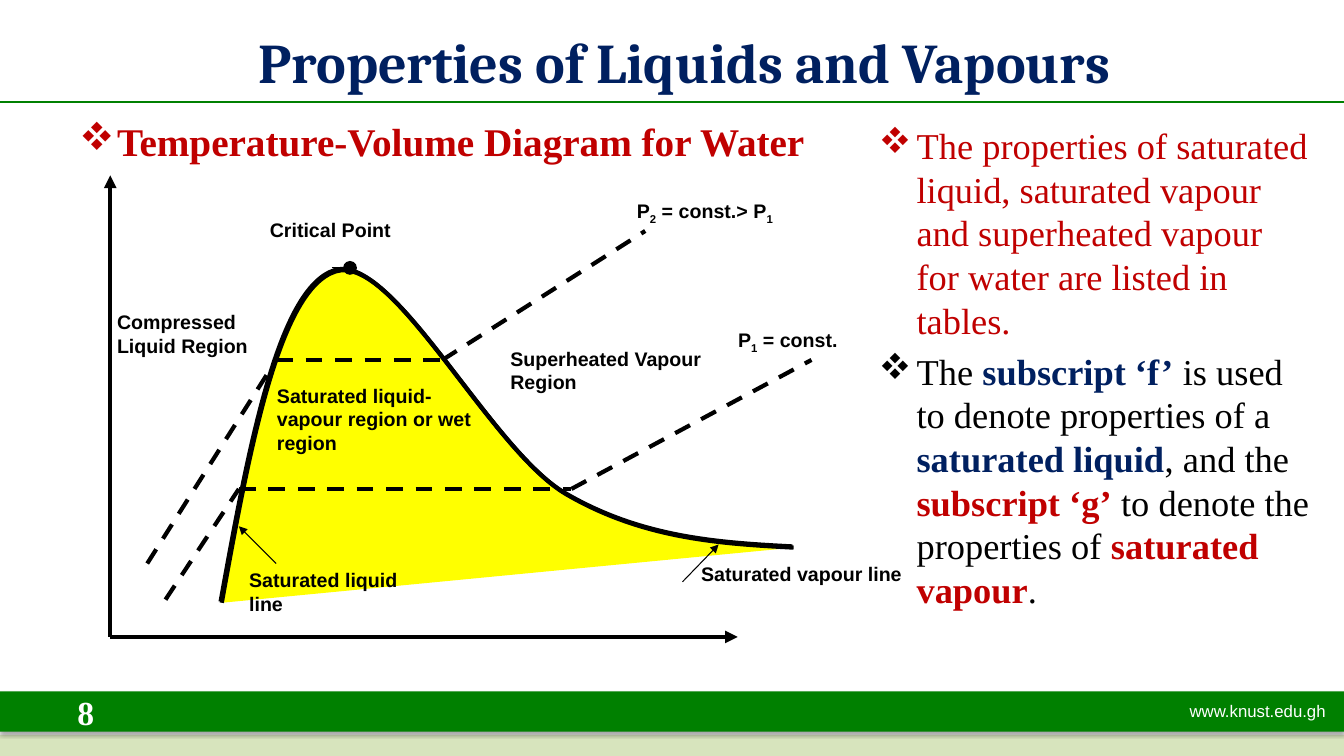
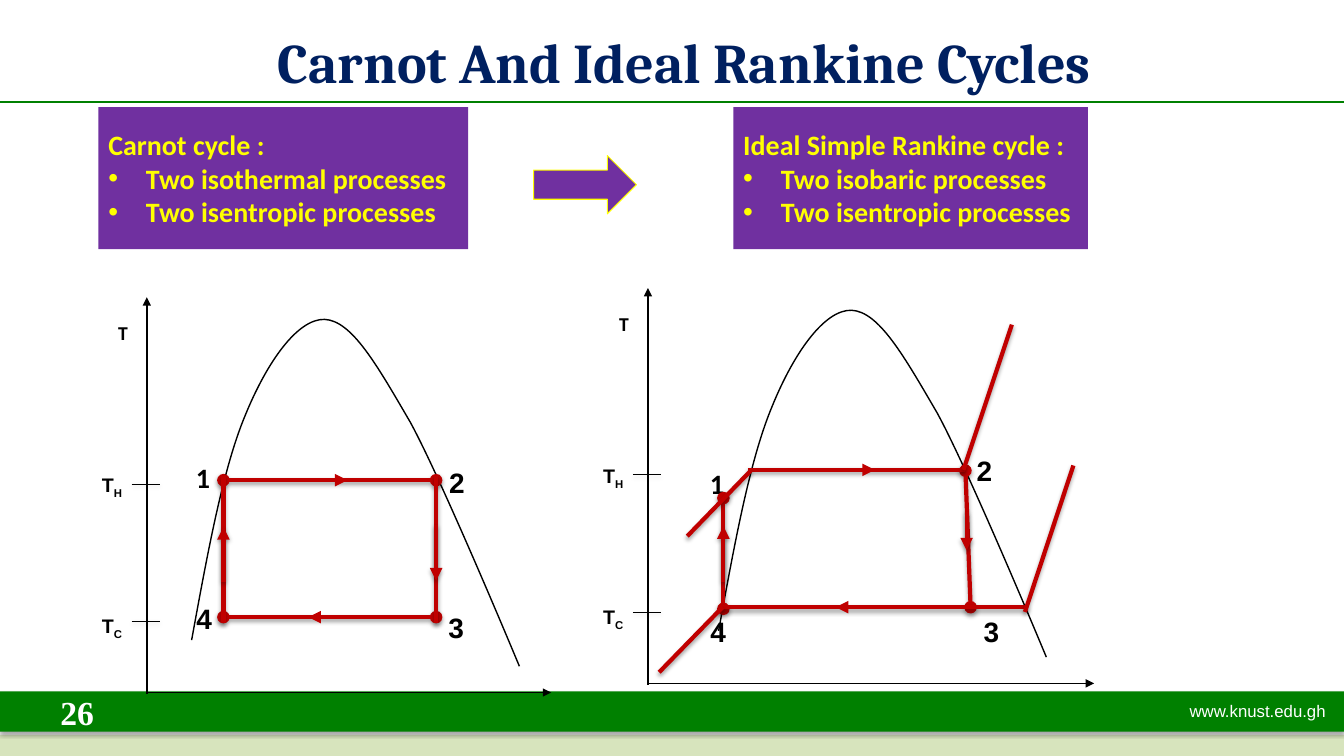
"""Builds two thermodynamics slides: the T-v diagram of water and the Carnot and Rankine cycles."""
from itertools import pairwise

from lxml.etree import SubElement
from pptx import Presentation
from pptx.dml.color import RGBColor
from pptx.enum.dml import MSO_LINE
from pptx.enum.shapes import MSO_CONNECTOR, MSO_SHAPE
from pptx.enum.text import MSO_ANCHOR, PP_ALIGN
from pptx.oxml.ns import qn
from pptx.util import Cm, Pt

DASH = MSO_LINE.DASH
STRAIGHT = MSO_CONNECTOR.STRAIGHT
RECT, ARROW = MSO_SHAPE.RECTANGLE, MSO_SHAPE.RIGHT_ARROW
TOP, MIDDLE = MSO_ANCHOR.TOP, MSO_ANCHOR.MIDDLE
LEFT, CENTER, RIGHT = PP_ALIGN.LEFT, PP_ALIGN.CENTER, PP_ALIGN.RIGHT

COLORS = {
    "black": "000000", "white": "FFFFFF", "navy": "002060", "red": "C00000",
    "green": "008000", "rule": "008001", "pale": "D7E4BD", "yellow": "FFFF00",
    "purple": "7030A0",
}
SERIF, SANS, HEAD, BODY = "Times New Roman", "Arial", "Cambria", "Calibri"
DIAMOND, DOT = ("Wingdings", "v"), ("Arial", "•")
WIDTH, HEIGHT = 33.87, 19.05
INDENT = 0.95

WATER = [(5.56, 15.16), (6.27, 11.23), (7.01, 7.26), (8.43, 6.81),
         (9.88, 6.35), (12.29, 11.23), (14.2, 12.4),
         (16.13, 13.54), (18.06, 13.67), (19.97, 13.77)]
DOME = [(0, 0), (0.41, -2.24), (0.79, -4.32), (1.35, -5.66),
        (1.9, -7.01), (2.67, -8.1), (3.35, -8.08),
        (4.04, -8.05), (4.67, -6.93), (5.51, -5.49),
        (6.32, -4.01), (8.26, 0.66), (8.26, 0.66)]


def rgb(name):
    return RGBColor.from_string(COLORS[name])


def effect(props, shadow):
    """Give shape properties a soft drop shadow, or an empty effect list."""
    effects = props.find(qn("a:effectLst"))
    if effects is None:
        effects = SubElement(props, qn("a:effectLst"))
    if shadow:
        outer = SubElement(effects, qn("a:outerShdw"), blurRad="40000",
                           dist="22000", dir="5400000", rotWithShape="0")
        tint = SubElement(outer, qn("a:srgbClr"), val=COLORS["black"])
        SubElement(tint, qn("a:alpha"), val="36000")


def para(item, parts, font, size, color, bold=True, bullet=None, align=LEFT):
    """Fill a paragraph; underscores in plain text enclose subscripts."""
    if bullet:
        face, char = bullet
        props = item._p.get_or_add_pPr()
        props.set("marL", str(Cm(INDENT)))
        props.set("indent", str(-Cm(INDENT)))
        SubElement(props, qn("a:buFont"), typeface=face)
        SubElement(props, qn("a:buChar"), char=char)
    item.alignment = align
    item.font.name, item.font.size = font, Pt(size)
    item.font.bold, item.font.color.rgb = bold, rgb(color)
    if isinstance(parts, str):
        for index, text in enumerate(parts.split("_")):
            if text:
                run = item.add_run()
                run.text = text
                if index % 2:
                    run._r.get_or_add_rPr().set("baseline", "-25000")
        return
    for text, accent in parts:
        run = item.add_run()
        run.text = text
        if accent:
            run.font.bold, run.font.color.rgb = True, rgb(accent)


def box(slide, x, y, w, h, anchor=TOP):
    """Add a wrapping text box and return its frame."""
    frame = slide.shapes.add_textbox(Cm(x), Cm(y), Cm(w), Cm(h)).text_frame
    frame.word_wrap = True
    frame.vertical_anchor = anchor
    return frame


def note(slide, text, x, y, w, h=0.8, font=SANS, size=14, color="black",
         anchor=TOP, **style):
    """Add a box with one paragraph."""
    frame = box(slide, x, y, w, h, anchor)
    para(frame.paragraphs[0], text, font, size, color, **style)


def block(slide, kind, x, y, w, h, fill, edge=None, shadow=False):
    """Add a filled preset shape."""
    shape = slide.shapes.add_shape(kind, Cm(x), Cm(y), Cm(w), Cm(h))
    shape.shadow.inherit = False
    shape.fill.solid()
    shape.fill.fore_color.rgb = rgb(fill)
    if edge:
        shape.line.color.rgb = rgb(edge)
        shape.line.width = Pt(0.75)
    else:
        shape.line.fill.background()
    effect(shape._element.spPr, shadow)
    return shape


def line(slide, start, end, width, color="black", dash=None, head=None,
         tail=None, big=False, shadow=False):
    """Add a straight line with optional ends."""
    link = slide.shapes.add_connector(
        STRAIGHT, *(Cm(value) for value in (*start, *end)))
    link.line.color.rgb = rgb(color)
    link.line.width = Pt(width)
    if dash:
        link.line.dash_style = dash
    scale = "lg" if big else "med"
    for tag, kind in (("a:headEnd", head), ("a:tailEnd", tail)):
        if kind:
            SubElement(link.line._get_or_add_ln(), qn(tag),
                       type=kind, w=scale, len=scale)
    effect(link._element.spPr, shadow)


def curve(slide, knots, width, fill=None):
    """Draw a chain of cubic Bezier arcs as a freeform."""
    points = [(Cm(x), Cm(y)) for x, y in knots]
    outline = slide.shapes.build_freeform(*points[0])
    outline.add_line_segments(points[1:], close=False)
    shape = outline.convert_to_shape()
    trace = next(shape._element.iter(qn("a:path")))
    legs = trace.findall(qn("a:lnTo"))
    for first in range(0, len(legs), 3):
        arc = SubElement(trace, qn("a:cubicBezTo"))
        for leg in legs[first:first + 3]:
            arc.append(leg[0])
            trace.remove(leg)
    shape.shadow.inherit = False
    if fill:
        shape.fill.solid()
        shape.fill.fore_color.rgb = rgb(fill)
    else:
        shape.fill.background()
    shape.line.color.rgb = rgb("black")
    shape.line.width = Pt(width)


def page(deck, title, number):
    """Add a slide with the shared title, rule and footer."""
    slide = deck.slides.add_slide(deck.slide_layouts[6])
    block(slide, RECT, 0, 18.52, WIDTH, 0.53, "pale", shadow=True)
    block(slide, RECT, 0, 17.42, WIDTH, 1.02, "green", shadow=True)
    note(slide, "www.knust.edu.gh", 29.73, 17.53, 4.04, size=12,
         color="white", bold=False)
    line(slide, (0, 2.57), (WIDTH, 2.57), 1, "rule")
    note(slide, title, 1.69, 0.56, 31.11, 1.65, HEAD, 40, "navy", align=CENTER)
    note(slide, number, 0.23, 17.43, 2.39, 1.02, SERIF, 24, "white",
         anchor=MIDDLE, align=RIGHT)
    return slide


def water(slide):
    """Draw the temperature-volume diagram."""
    note(slide, "Temperature-Volume Diagram for Water", 1.75, 2.84, 31.06, 1.57,
         SERIF, 28, "red", bullet=DIAMOND)
    curve(slide, [(x + 0.03, y + 0.03) for x, y in WATER], 3, "yellow")
    corner = (2.78, 16.05)
    for end in ((18.59, 16.05), (2.78, 4.42)):
        line(slide, corner, end, 3, tail="triangle")
    isobars = (
        [(4.17, 15.11), (6.02, 12.32), (14.4, 12.32), (20.45, 9.07)],
        [(3.71, 14.2), (6.96, 9.07), (11.15, 9.07), (16.26, 5.82)],
    )
    for isobar in isobars:
        for start, end in pairwise(isobar):
            line(slide, start, end, 3, dash=DASH)
    curve(slide, WATER, 3)
    line(slide, (8.36, 6.75), (8.82, 6.75), 0.75, tail="oval", big=True)
    labels = (
        ("Saturated liquid-vapour region or wet region", 6.73, 9.54, 5.94, 2.34),
        ("Superheated Vapour Region", 12.61, 8.61, 6.2, 3.25),
        ("Compressed Liquid Region", 2.7, 7.69, 4.5, 1.85),
        ("Critical Point", 6.55, 5.36, 3.71, 1.04),
        ("Saturated liquid line", 6.03, 14.19, 5.11, 2.01),
        ("Saturated vapour line", 17.42, 14.03, 5.97, 1.55),
        ("P_1_ = const.", 18.35, 8.15, 3.33, 1.4),
        ("P_2_ = const.> P_1_", 15.8, 4.9, 4.37, 1.4),
    )
    for label in labels:
        note(slide, *label)
    for start, end in (((6.96, 14.2), (6.02, 13.26)),
                       ((17.2, 14.66), (18.11, 13.72))):
        line(slide, start, end, 0.75, tail="triangle")


def remarks(slide):
    """Write the remarks beside the diagram."""
    frame = box(slide, 21.9, 2.98, 11.4, 13.54)
    para(frame.paragraphs[0],
         "The properties of saturated liquid, saturated vapour and "
         "superheated vapour for water are listed in tables.",
         SERIF, 26, "red", False, DIAMOND)
    usage = (
        ("The ", None), ("subscript ‘f’", "navy"),
        (" is used to denote properties of a ", None),
        ("saturated liquid", "navy"), (", and the ", None),
        ("subscript ‘g’", "red"), (" to denote the properties of ", None),
        ("saturated vapour", "red"), (".", None),
    )
    item = frame.add_paragraph()
    para(item, usage, SERIF, 26, "black", False, DIAMOND)
    item.space_before = Pt(5.2)


def panel(slide, x, w, title, points):
    """Add a purple summary panel."""
    frame = block(slide, RECT, x, 2.7, w, 3.58, "purple").text_frame
    frame.word_wrap = True
    frame.vertical_anchor = MIDDLE
    para(frame.paragraphs[0], title, BODY, 20, "yellow")
    for point in points:
        para(frame.add_paragraph(), point, BODY, 20, "yellow", bullet=DOT)


def plot(slide, x, y, width, shift, spots):
    """Draw axes, ticks, dome and state numbers around the origin x, y."""
    for start, end in (((x, y + 0.04), (x, y - 9.96)), ((x, y), (x + width, y))):
        line(slide, start, end, 1, tail="triangle")
    note(slide, "T", x - 1.32, y - 9.48, 1.09, font=BODY, align=RIGHT)
    for state, (left, top) in zip("1234", spots):
        note(slide, state, left, top, 0.74, size=20,
             font=BODY if state == "1" else SANS)
    for mark, tick, rise in (("H", 5.26, 5.66), ("C", 1.8, 2.11)):
        line(slide, (x - 0.38, y - tick), (x + 0.33, y - tick), 0.25,
             shadow=True)
        note(slide, f"T_{mark}_", x - 1.38, y - rise, 1.57)
    curve(slide, [(x + shift + dx, y - 1.32 + dy) for dx, dy in DOME], 1)


def cycle(slide, dotted, plain, arrows):
    """Draw the red cycle lines: with dots, plain, and with arrowheads."""
    for group, ends in ((dotted, {"head": "oval", "tail": "oval"}),
                        (plain, {}), (arrows, {"tail": "triangle"})):
        for start, end in group:
            flat = group is arrows and start[1] == end[1]
            line(slide, start, end, 3, "red", shadow=not flat, **ends)


def carnot(slide):
    """Draw the Carnot cycle."""
    plot(slide, 3.7, 17.45, 10.19, 1.13,
         ((4.69, 11.48), (11.07, 11.61), (11.05, 15.27), (4.7, 15.04)))
    left, right, top, base = 5.63, 10.99, 12.1, 15.55
    cycle(slide,
          [((left, y), (right, y)) for y in (top, base)],
          [((x, 11.99), (x, 15.7)) for x in (left, right)],
          [((7.21, top), (8.76, top)), ((right, 13.23), (right, 14.63)),
           ((9.32, base), (7.77, base)), ((left, 14.66), (left, 13.28))])


def rankine(slide):
    """Draw the ideal Rankine cycle with its isobars."""
    plot(slide, 16.33, 17.22, 11.24, 1.78,
         ((17.64, 11.63), (24.36, 11.3), (24.54, 15.37), (17.65, 15.37)))
    left, top, base = 18.23, 11.84, 15.3
    cycle(slide,
          [((24.33, 11.86), (24.46, base)), ((left, 12.55), (left, 15.34))],
          [((18.85, top), (24.33, top)), ((24.28, top), (25.5, 8.18)),
           ((17.32, 13.51), (18.92, 11.86)), ((18.14, base), (25.91, base)),
           ((25.83, 15.42), (27.05, 11.73)), ((16.61, 16.94), (18.21, base))],
          [((20.5, top), (22.05, top)), ((24.36, 12.9), (24.36, 13.87)),
           ((22.61, base), (21.06, base)), ((left, 14.66), (left, 13.26))])


def main():
    deck = Presentation()
    deck.slide_width, deck.slide_height = Cm(WIDTH), Cm(HEIGHT)

    slide = page(deck, "Properties of Liquids and Vapours", "8")
    water(slide)
    remarks(slide)

    slide = page(deck, "Carnot And Ideal Rankine Cycles", "26")
    panel(slide, 2.48, 9.32, "Carnot cycle :",
          ("Two isothermal processes", "Two isentropic processes"))
    panel(slide, 18.48, 8.94, "Ideal Simple Rankine cycle :",
          ("Two isobaric processes", "Two isentropic processes"))
    carnot(slide)
    rankine(slide)
    block(slide, ARROW, 13.45, 3.92, 2.59, 1.47, "purple", "yellow")
    deck.save("out.pptx")


if __name__ == "__main__":
    main()
